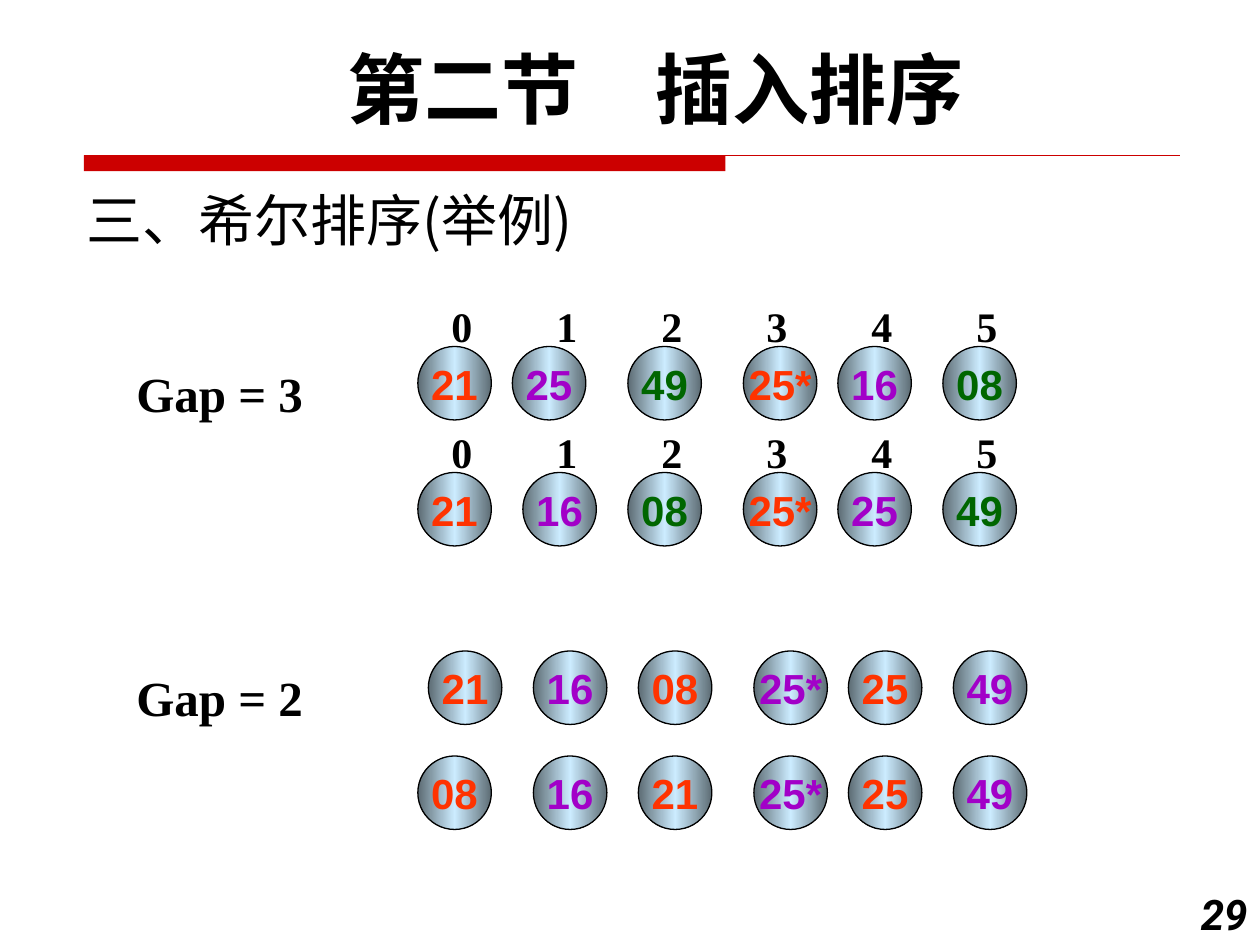
from copy import deepcopy

from pptx import Presentation
from pptx.dml.color import RGBColor
from pptx.enum.shapes import MSO_CONNECTOR, MSO_SHAPE
from pptx.enum.text import MSO_ANCHOR, PP_ALIGN
from pptx.oxml.ns import qn
from pptx.oxml.xmlchemy import OxmlElement
from pptx.util import Emu, Pt

PX = 7620  # EMU in one px, 120 px to the inch
STEP, BALL = 100, 70  # distance between array slots, diameter of a ball
CJK = "Noto Sans CJK SC"
RED, ORANGE, PURPLE, GREEN = "CC0000", "FF3300", "A200C8", "006600"
GAP_3 = [ORANGE, PURPLE, GREEN] * 2
GAP_2 = [ORANGE, PURPLE] * 3


def px(*lengths):
    return [Emu(length * PX) for length in lengths]


def color(value):
    return RGBColor.from_string(value)


def write(frame, text, size, font, fill="000000", bold=True, italic=False,
          align=PP_ALIGN.LEFT, anchor=MSO_ANCHOR.TOP, wrap=True, tabs=()):
    frame.word_wrap = wrap
    frame.vertical_anchor = anchor
    para = frame.paragraphs[0]
    para.alignment = align
    if tabs:
        tab_list = OxmlElement("a:tabLst")
        for position in tabs:
            tab = OxmlElement("a:tab")
            tab.set("pos", str(position * PX))
            tab.set("algn", "l")
            tab_list.append(tab)
        para._p.get_or_add_pPr().append(tab_list)
    span = para.add_run()
    span.text = text
    span.font.name = font
    span.font.size = Pt(size)
    span.font.bold = bold
    span.font.italic = italic
    span.font.color.rgb = color(fill)
    east_asian = OxmlElement("a:ea")
    east_asian.set("typeface", CJK)
    span.font._element.find(qn("a:latin")).addnext(east_asian)


def add_text(page, box, text, size, font, **style):
    shape = page.shapes.add_textbox(*px(*box))
    write(shape.text_frame, text, size, font, **style)


def add_rule(page, left, top, width, bar_width, bar_height):
    bar = page.shapes.add_shape(MSO_SHAPE.RECTANGLE, *px(left, top, bar_width, bar_height))
    bar.shadow.inherit = False
    bar.fill.solid()
    bar.fill.fore_color.rgb = color(RED)
    bar.line.fill.background()
    line = page.shapes.add_connector(MSO_CONNECTOR.STRAIGHT, *px(left, top, left + width, top))
    line.line.color.rgb = color(RED)
    line.line.width = Pt(0.75)
    line._element.spPr.append(OxmlElement("a:effectLst"))


def add_header(page, left, top, width):
    add_text(page, (left, top, width, 101), "第二节　插入排序", 44, "Roboto",
             align=PP_ALIGN.CENTER)
    add_rule(page, left + 10, top + 114, 1044, 611, 15)
    title = page.shapes.title
    title.left, title.top, title.width, title.height = px(left, top + 123, 750, 90)
    write(title.text_frame, "三、希尔排序(举例)", 32, CJK, bold=False,
          anchor=MSO_ANCHOR.BOTTOM)


def add_ball(page, left, top, text, fill):
    ball = page.shapes.add_shape(MSO_SHAPE.OVAL, *px(left, top, BALL, BALL))
    ball.shadow.inherit = False
    # Dark rim on both sides of a light centre
    ball.fill.gradient()
    ball.fill.gradient_angle = 0
    stop_list = ball._element.spPr.find(".//" + qn("a:gsLst"))
    stop_list.append(deepcopy(stop_list[0]))
    shades = ("5D6C74", "CCECFF", "5D6C74")
    for stop, shade, position in zip(ball.fill.gradient_stops, shades, (0, 0.5, 1)):
        stop.color.rgb = color(shade)
        stop.position = position
    ball.line.color.rgb = color("000000")
    ball.line.width = Pt(0.75)
    write(ball.text_frame, text, 24, "Arial", fill=fill, wrap=False,
          align=PP_ALIGN.CENTER, anchor=MSO_ANCHOR.MIDDLE)


def add_array(page, left, top, values, colors, nudges=(0, 0, 0, 10, 0, 0), indexed=False):
    """Row of balls, each moved sideways by its nudge, with slot numbers on request."""
    if indexed:
        slots = range(len(values))
        add_text(page, (left + 20, top - 50, 560, 60), "\t".join(map(str, slots)), 24,
                 "Times New Roman", tabs=[slot * STEP for slot in slots[1:]])
    for slot, (value, fill, nudge) in enumerate(zip(values, colors, nudges)):
        add_ball(page, left + slot * STEP + nudge, top, value, fill)


def add_gap_label(page, left, top, gap):
    add_text(page, (left, top, 184, 68), f"Gap = {gap}", 28, "Times New Roman", wrap=False)


def main():
    deck = Presentation()
    deck.slide_width, deck.slide_height = px(1200, 900)
    page = deck.slides.add_slide(deck.slide_layouts[5])

    add_header(page, 70, 34, 1110)

    # Pass with gap 3: before and after
    add_gap_label(page, 118, 340, 3)
    add_array(page, 398, 330, ["21", "25", "49", "25*", "16", "08"], GAP_3,
              nudges=(0, -10, 0, 10, 0, 0), indexed=True)
    add_array(page, 398, 450, ["21", "16", "08", "25*", "25", "49"], GAP_3, indexed=True)

    # Pass with gap 2: before and after
    add_gap_label(page, 118, 630, 2)
    add_array(page, 408, 620, ["21", "16", "08", "25*", "25", "49"], GAP_2)
    add_array(page, 408, 720, ["08", "16", "21", "25*", "25", "49"], GAP_2,
              nudges=(-10, 0, 0, 10, 0, 0))

    # Page number
    add_text(page, (1120, 840, 80, 60), "29", 24, "Roboto", italic=True,
             align=PP_ALIGN.RIGHT)

    deck.save("out.pptx")


if __name__ == "__main__":
    main()
